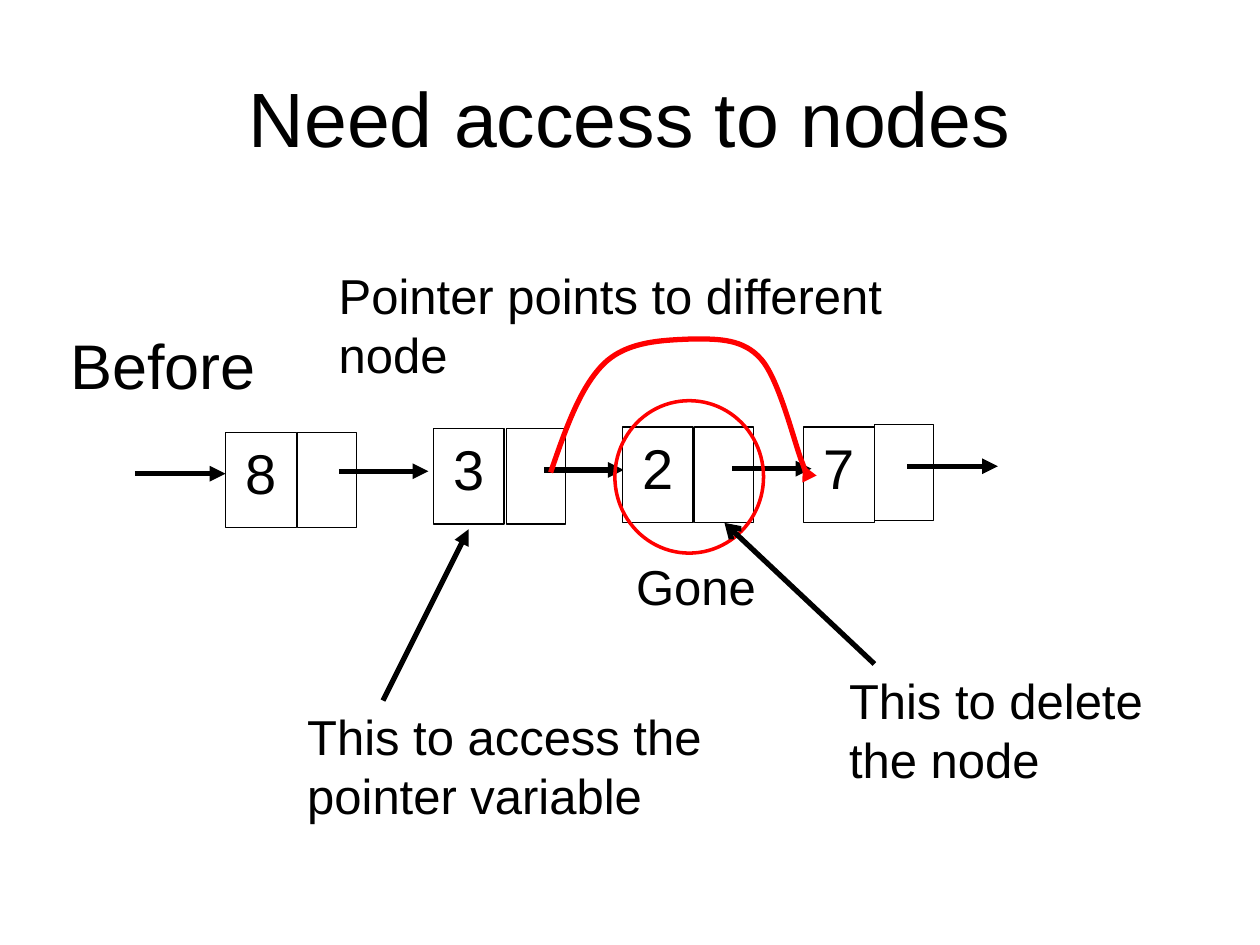
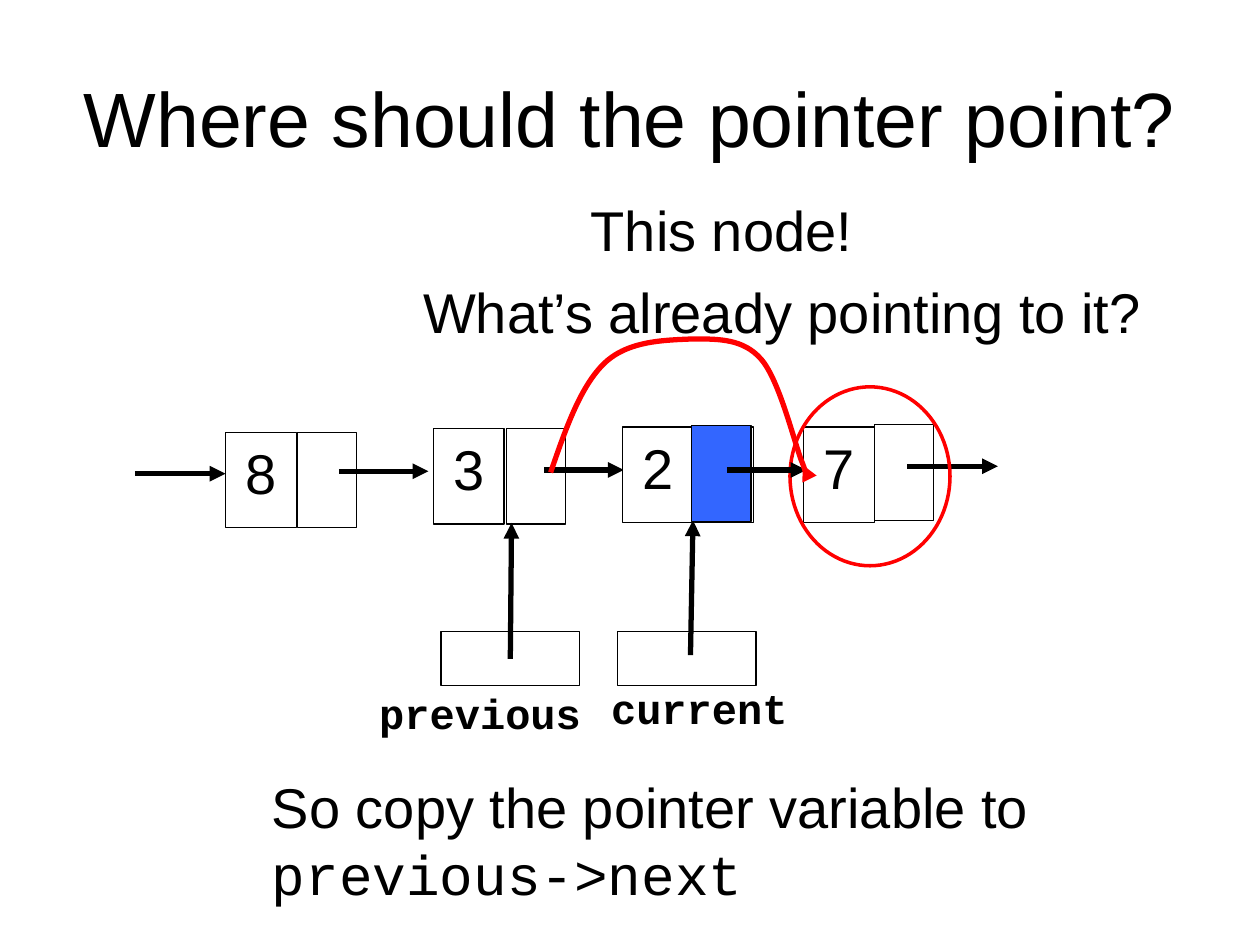
"""Build two slides on deleting a node from a linked list."""
from lxml.etree import SubElement
from pptx import Presentation
from pptx.dml.color import RGBColor
from pptx.enum.shapes import MSO_CONNECTOR as Connector, MSO_SHAPE as Shape
from pptx.enum.text import MSO_ANCHOR as Anchor, MSO_AUTO_SIZE as AutoSize, PP_ALIGN as Align
from pptx.oxml.ns import qn
from pptx.util import Inches, Pt

COLORS = {"ink": "000000", "paper": "FFFFFF", "accent": "FF0000", "copied": "3366FF"}
SANS, MONO = "Arial", "Courier New"
TITLE_ONLY = 5
VALUE_WIDTH, POINTER_WIDTH, NODE_HEIGHT = 0.56, 0.47, 0.76

NODES = [
    {"value": "7", "value_at": (6.38, 3.39), "pointer_at": (6.94, 3.37),
     "link": ((7.2, 3.7), (7.92, 3.7))},
    {"value": "3", "value_at": (3.44, 3.4), "pointer_at": (4.02, 3.4),
     "link": ((4.32, 3.73), (4.95, 3.73))},
    {"value": "8", "value_at": (1.79, 3.43), "pointer_at": (2.36, 3.43),
     "link": ((2.69, 3.74), (3.4, 3.74)), "weight": 0.5},
    {"value": "2", "value_at": (4.94, 3.39), "pointer_at": (5.51, 3.39)},
]
HEAD_LINK = ((1.07, 3.76), (1.79, 3.76))
BYPASS = [
    (4.37, 3.75),
    (4.49, 3.4), (4.61, 3.06), (4.8, 2.88),
    (4.99, 2.7), (5.29, 2.7), (5.5, 2.69),
    (5.71, 2.69), (5.9, 2.69), (6.04, 2.85),
    (6.19, 3.02), (6.31, 3.54), (6.37, 3.68),
    (6.42, 3.82), (6.39, 3.75), (6.37, 3.69),
]


def color(name):
    return RGBColor.from_string(COLORS[name])


def write(frame, text, size=28, font=SANS, bold=False, align=Align.LEFT):
    para = frame.paragraphs[-1]
    para.alignment = align
    span = para.add_run()
    span.text = text
    span.font.name = font
    span.font.size = Pt(size)
    span.font.bold = bold
    span.font.color.rgb = color("ink")


class Sketch:
    """Draws styled elements on the current slide."""

    def __init__(self, deck):
        self.deck = deck
        self.slide = None

    def page(self, title):
        self.slide = self.deck.slides.add_slide(self.deck.slide_layouts[TITLE_ONLY])
        box = self.slide.shapes.title
        self.place(box, 0.5, 0.3, 9, 1.25)
        box.text_frame.vertical_anchor = Anchor.MIDDLE
        write(box.text_frame, title, size=44, align=Align.CENTER)

    def place(self, box, left, top, width, height):
        box.left, box.top = Inches(left), Inches(top)
        box.width, box.height = Inches(width), Inches(height)

    def outline(self, item, name, weight, head=None):
        item.line.color.rgb = color(name)
        item.line.width = Pt(weight)
        if head:
            line = item.element.spPr.find(qn("a:ln"))
            SubElement(line, qn("a:tailEnd"), type=head)

    def box(self, left, top, width, height, fill="paper", line="ink", weight=0.75,
            kind=Shape.RECTANGLE):
        box = self.slide.shapes.add_shape(
            kind, Inches(left), Inches(top), Inches(width), Inches(height))
        box.shadow.inherit = False
        if fill:
            box.fill.solid()
            box.fill.fore_color.rgb = color(fill)
        else:
            box.fill.background()
        self.outline(box, line, weight)
        return box

    def ring(self, left, top, width, height):
        self.box(left, top, width, height, fill=None, line="accent", weight=2,
                 kind=Shape.OVAL)

    def label(self, text, left, top, width, height, wrap=True, tight=False, **style):
        box = self.slide.shapes.add_textbox(
            Inches(left), Inches(top), Inches(width), Inches(height))
        frame = box.text_frame
        frame.word_wrap = wrap
        if tight:
            frame.margin_left = frame.margin_right = 0
            frame.margin_top = frame.margin_bottom = 0
        else:
            frame.auto_size = AutoSize.SHAPE_TO_FIT_TEXT
        write(frame, text, **style)
        return frame

    def arrow(self, start, end, head="triangle"):
        line = self.slide.shapes.add_connector(
            Connector.STRAIGHT, *(Inches(value) for value in (*start, *end)))
        self.outline(line, "ink", 3, head)
        SubElement(line.element.spPr, qn("a:effectLst"))

    def curve(self, points):
        start, *rest = [(Inches(x), Inches(y)) for x, y in points]
        builder = self.slide.shapes.build_freeform(*start)
        builder.add_line_segments(rest, close=False)
        curve = builder.convert_to_shape()
        curve.shadow.inherit = False
        curve.fill.background()
        self.outline(curve, "accent", 3, "triangle")
        steps = list(curve.element.iter(qn("a:lnTo")))
        for index in range(0, len(steps), 3):
            outline = steps[index].getparent()
            bend = SubElement(outline, qn("a:cubicBezTo"))
            for step in steps[index:index + 3]:
                bend.append(step[0])
                outline.remove(step)

    def node(self, value, value_at, pointer_at, link=None, weight=0.75):
        self.box(*pointer_at, POINTER_WIDTH, NODE_HEIGHT, weight=weight)
        box = self.box(*value_at, VALUE_WIDTH, NODE_HEIGHT, weight=weight)
        box.text_frame.vertical_anchor = Anchor.TOP
        write(box.text_frame, value, size=32, align=Align.CENTER)
        if link:
            self.arrow(*link)

    def linked_list(self):
        for node in NODES:
            self.node(**node)
        self.arrow(*HEAD_LINK)


def access_slide(sketch):
    sketch.page("Need access to nodes")
    sketch.linked_list()
    sketch.arrow((5.81, 3.72), (6.44, 3.72))
    sketch.label("Before", 0.46, 2.54, 1.69, 0.71, wrap=False, size=36)
    sketch.ring(4.88, 3.18, 1.18, 1.21)
    sketch.label("Gone", 4.95, 4.37, 1.23, 0.57)
    sketch.curve(BYPASS)
    sketch.label("Pointer points to different node", 2.59, 2.06, 5.04, 1.04)
    sketch.arrow((3.04, 5.56), (3.72, 4.2))
    sketch.label("This to access the pointer variable", 2.34, 5.56, 3.56, 1.04)
    sketch.arrow((6.94, 5.27), (5.75, 4.15), head="arrow")
    sketch.label("This to delete the node", 6.64, 5.27, 3.04, 1.04)


def target_slide(sketch):
    sketch.page("Where should the pointer point?")
    sketch.linked_list()
    for left in (3.5, 4.9):
        sketch.box(left, 5.01, 1.1, 0.43)
    sketch.arrow((4.05, 5.23), (4.06, 4.15))
    sketch.arrow((5.48, 5.2), (5.5, 4.13))
    variable = {"size": 24, "font": MONO, "bold": True, "tight": True}
    sketch.label("previous", 3.01, 5.46, 1.71, 0.38, **variable)
    sketch.label("current", 4.85, 5.42, 1.44, 0.42, **variable)
    sketch.ring(6.27, 3.07, 1.27, 1.42)
    sketch.label("This node!", 4.59, 1.5, 2.3, 0.64, size=32)
    sketch.label("What\u2019s already pointing to it?", 3.26, 2.15, 6.27, 0.64, size=32)
    advice = sketch.label("So copy the pointer variable to ", 2.06, 6.08, 7.11, 1.18, size=32)
    write(advice, "previous->next", size=32, font=MONO)
    sketch.box(5.49, 3.38, POINTER_WIDTH, NODE_HEIGHT, fill="copied")
    sketch.arrow((5.77, 3.73), (6.4, 3.73))
    sketch.curve(BYPASS)


deck = Presentation()
deck.slide_width, deck.slide_height = Inches(10), Inches(7.5)
sketch = Sketch(deck)
access_slide(sketch)
target_slide(sketch)
deck.save("out.pptx")
